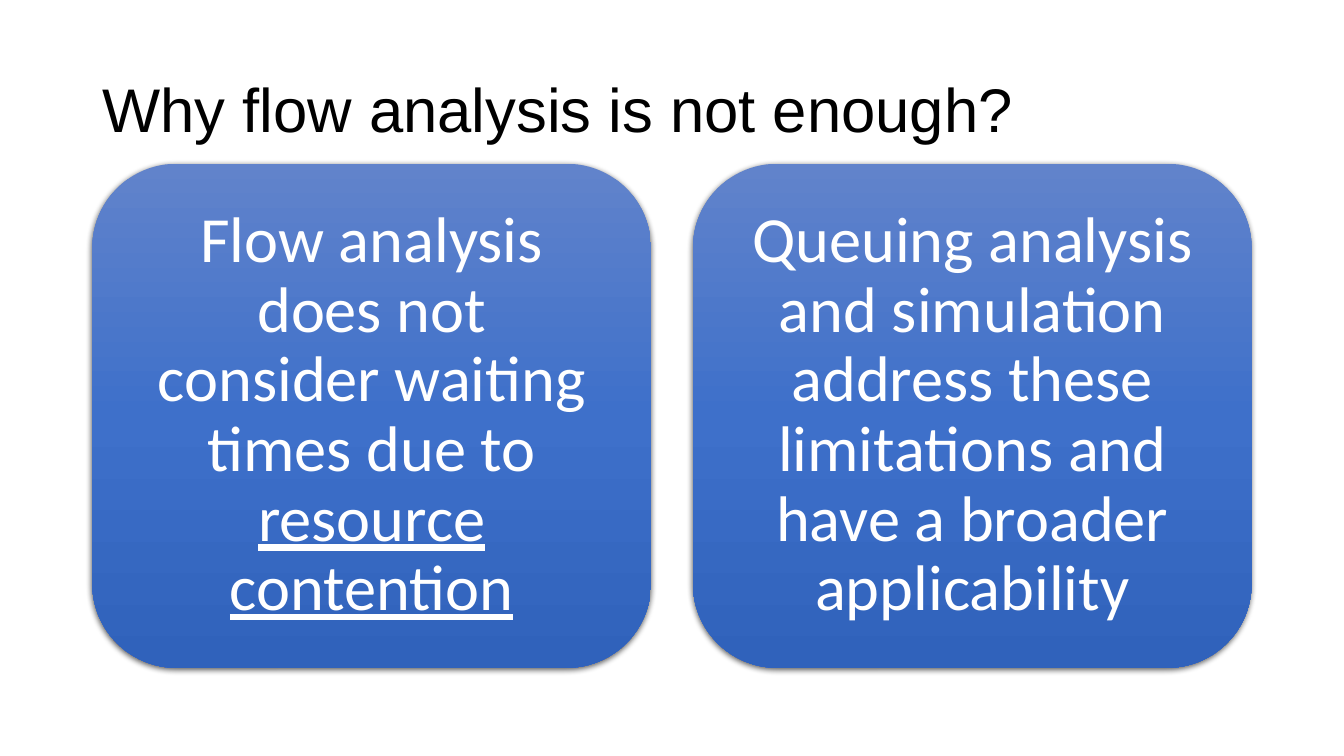
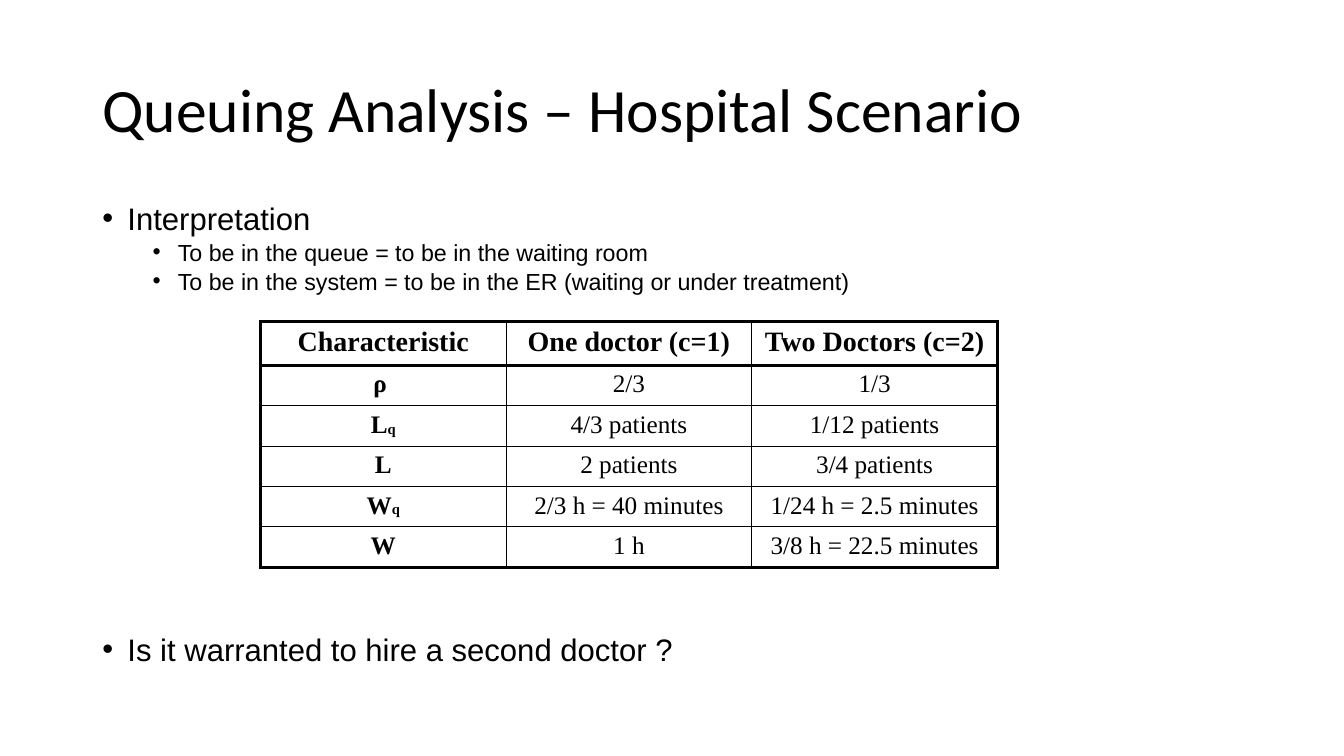
from copy import deepcopy
from dataclasses import dataclass

import pptx
import pptx.dml.color
import pptx.enum.shapes
import pptx.enum.text
import pptx.oxml.ns
import pptx.util
from lxml import etree

RGBColor = pptx.dml.color.RGBColor
Align = pptx.enum.text.PP_ALIGN
Anchor = pptx.enum.text.MSO_ANCHOR
qn = pptx.oxml.ns.qn

EMU_PER_PX = 9525
BLACK = RGBColor(0, 0, 0)
WHITE = RGBColor(255, 255, 255)
CARD_STOPS = (
    (0, RGBColor(0x61, 0x83, 0xCB)),
    (0.5, RGBColor(0x3E, 0x70, 0xCA)),
    (1, RGBColor(0x30, 0x62, 0xBB)),
)
MARGIN = 88
CONTENT_WIDTH = 1104
CARD_WIDTH, CARD_HEIGHT, CARD_TOP, CARD_GAP = 532, 480, 156, 40
THICK, THIN = 2.25, 1


@dataclass(frozen=True)
class Span:
    text: str
    underline: bool = False
    subscript: bool = False


@dataclass(frozen=True)
class Bullet:
    text: str
    size: float
    indent: int
    space_before: int


CARDS = (
    (
        Span("Flow analysis does not consider waiting times due to "),
        Span("resource contention", underline=True),
    ),
    (
        Span(
            "Queuing analysis and simulation address these limitations "
            "and have a broader applicability"
        ),
    ),
)

BULLETS = (
    Bullet("Interpretation", 22.2, 24, 10),
    Bullet("To be in the queue = to be in the waiting room", 16.6, 72, 5),
    Bullet("To be in the system = to be in the ER (waiting or under treatment)", 16.6, 72, 5),
    Bullet("Is it warranted to hire a second doctor ?", 22.2, 24, 245),
)

QUEUE = Span("q", subscript=True)
MEASURES = (
    ((Span("Characteristic"),), "One doctor (c=1)", "Two Doctors (c=2)"),
    ((Span("ρ "),), "2/3", "1/3"),
    ((Span("L"), QUEUE), "4/3 patients", "1/12 patients"),
    ((Span("L"),), "2 patients", "3/4 patients"),
    ((Span("W"), QUEUE), "2/3 h = 40 minutes", "1/24 h = 2.5 minutes"),
    ((Span("W"),), "1 h", "3/8 h = 22.5 minutes"),
)


def px(length: int) -> pptx.util.Emu:
    return pptx.util.Emu(length * EMU_PER_PX)


def set_font(para, name: str, size: float, color: RGBColor, bold: bool = False) -> None:
    font = para.font
    font.name = name
    font.size = pptx.util.Pt(size)
    font.bold = bold
    font.color.rgb = color


def add_spans(para, spans: tuple[Span, ...]) -> None:
    for span in spans:
        run = para.add_run()
        run.text = span.text
        if span.underline:
            run.font.underline = True
        if span.subscript:
            run.font._element.set("baseline", "-4000")


def add_page(deck, title: str, font_name: str):
    page = deck.slides.add_slide(deck.slide_layouts[5])
    box = page.shapes.title
    box.left, box.top = px(MARGIN), px(38)
    box.width, box.height = px(CONTENT_WIDTH), px(139)
    frame = box.text_frame
    frame.text = title
    frame.vertical_anchor = Anchor.MIDDLE
    para = frame.paragraphs[0]
    para.alignment = Align.LEFT
    para.line_spacing = 0.9
    set_font(para, font_name, 44, BLACK)
    return page


def add_shadow(shape) -> None:
    shape.shadow.inherit = False
    effects = shape._element.spPr.find(qn("a:effectLst"))
    shadow = etree.SubElement(
        effects, qn("a:outerShdw"),
        blurRad=str(pptx.util.Pt(4.5)), dist=str(pptx.util.Pt(1.5)),
        dir="5400000", algn="ctr", rotWithShape="0",
    )
    color = etree.SubElement(shadow, qn("a:srgbClr"), val=str(BLACK))
    etree.SubElement(color, qn("a:alpha"), val="63000")


def fill_gradient(shape) -> None:
    fill = shape.fill
    fill.gradient()
    fill.gradient_angle = 270
    stop_list = shape._element.spPr.find(".//" + qn("a:gsLst"))
    stop_list.append(deepcopy(stop_list[0]))
    for stop, (position, color) in zip(fill.gradient_stops, CARD_STOPS):
        stop.position = position
        stop.color.rgb = color


def add_card(page, left: int, spans: tuple[Span, ...]) -> None:
    card = page.shapes.add_shape(
        pptx.enum.shapes.MSO_SHAPE.ROUNDED_RECTANGLE,
        px(left), px(CARD_TOP), px(CARD_WIDTH), px(CARD_HEIGHT),
    )
    fill_gradient(card)
    card.line.fill.background()
    add_shadow(card)
    frame = card.text_frame
    frame.word_wrap = True
    frame.vertical_anchor = Anchor.MIDDLE
    frame.margin_left = frame.margin_right = px(31)
    frame.margin_top = frame.margin_bottom = 0
    para = frame.paragraphs[0]
    para.alignment = Align.CENTER
    para.line_spacing = 0.9
    set_font(para, "Calibri", 46, WHITE)
    add_spans(para, spans)


def add_bullets(page, bullets: tuple[Bullet, ...]) -> None:
    box = page.shapes.add_textbox(px(MARGIN), px(192), px(CONTENT_WIDTH), px(457))
    frame = box.text_frame
    frame.word_wrap = True
    for index, bullet in enumerate(bullets):
        para = frame.add_paragraph() if index else frame.paragraphs[0]
        para.text = bullet.text
        properties = para._p.get_or_add_pPr()
        properties.set("marL", str(px(bullet.indent)))
        properties.set("indent", str(px(-24)))
        etree.SubElement(properties, qn("a:buFont"), typeface="Arial")
        etree.SubElement(properties, qn("a:buChar"), char="•")
        para.line_spacing = 0.8
        para.space_before = pptx.util.Pt(bullet.space_before)
        set_font(para, "Arial", bullet.size, BLACK)


def set_borders(cell, widths: dict[str, float]) -> None:
    properties = cell._tc.get_or_add_tcPr()
    for side in ("L", "R", "T", "B"):
        line = etree.SubElement(
            properties, qn(f"a:ln{side}"), w=str(pptx.util.Pt(widths[side]))
        )
        fill = etree.SubElement(line, qn("a:solidFill"))
        etree.SubElement(fill, qn("a:srgbClr"), val=str(BLACK))


def add_measures_table(page) -> None:
    row_count, column_count = len(MEASURES), len(MEASURES[0])
    table = page.shapes.add_table(
        row_count, column_count, px(248), px(306), px(234 * column_count), px(232)
    ).table
    table.first_row = table.horz_banding = False
    for column in table.columns:
        column.width = px(234)
    for row_index, values in enumerate(MEASURES):
        table.rows[row_index].height = px(38 if row_index else 42)
        for column_index, value in enumerate(values):
            cell = table.cell(row_index, column_index)
            set_borders(cell, {
                "L": THIN if column_index else THICK,
                "R": THICK if column_index == column_count - 1 else THIN,
                "T": THICK if row_index <= 1 else THIN,
                "B": THICK if row_index in (0, row_count - 1) else THIN,
            })
            cell.fill.background()
            para = cell.text_frame.paragraphs[0]
            para.alignment = Align.CENTER
            is_heading = row_index == 0 or column_index == 0
            set_font(para, "Times New Roman", 18 if row_index else 20, BLACK, is_heading)
            add_spans(para, (Span(value),) if isinstance(value, str) else value)


def main() -> None:
    deck = pptx.Presentation()
    deck.slide_width, deck.slide_height = px(1280), px(720)

    limits = add_page(deck, "Why flow analysis is not enough?", "Arial")
    for index, spans in enumerate(CARDS):
        add_card(limits, MARGIN + index * (CARD_WIDTH + CARD_GAP), spans)

    hospital = add_page(deck, "Queuing Analysis – Hospital Scenario", "Calibri")
    add_bullets(hospital, BULLETS)
    add_measures_table(hospital)

    deck.save("out.pptx")


if __name__ == "__main__":
    main()
